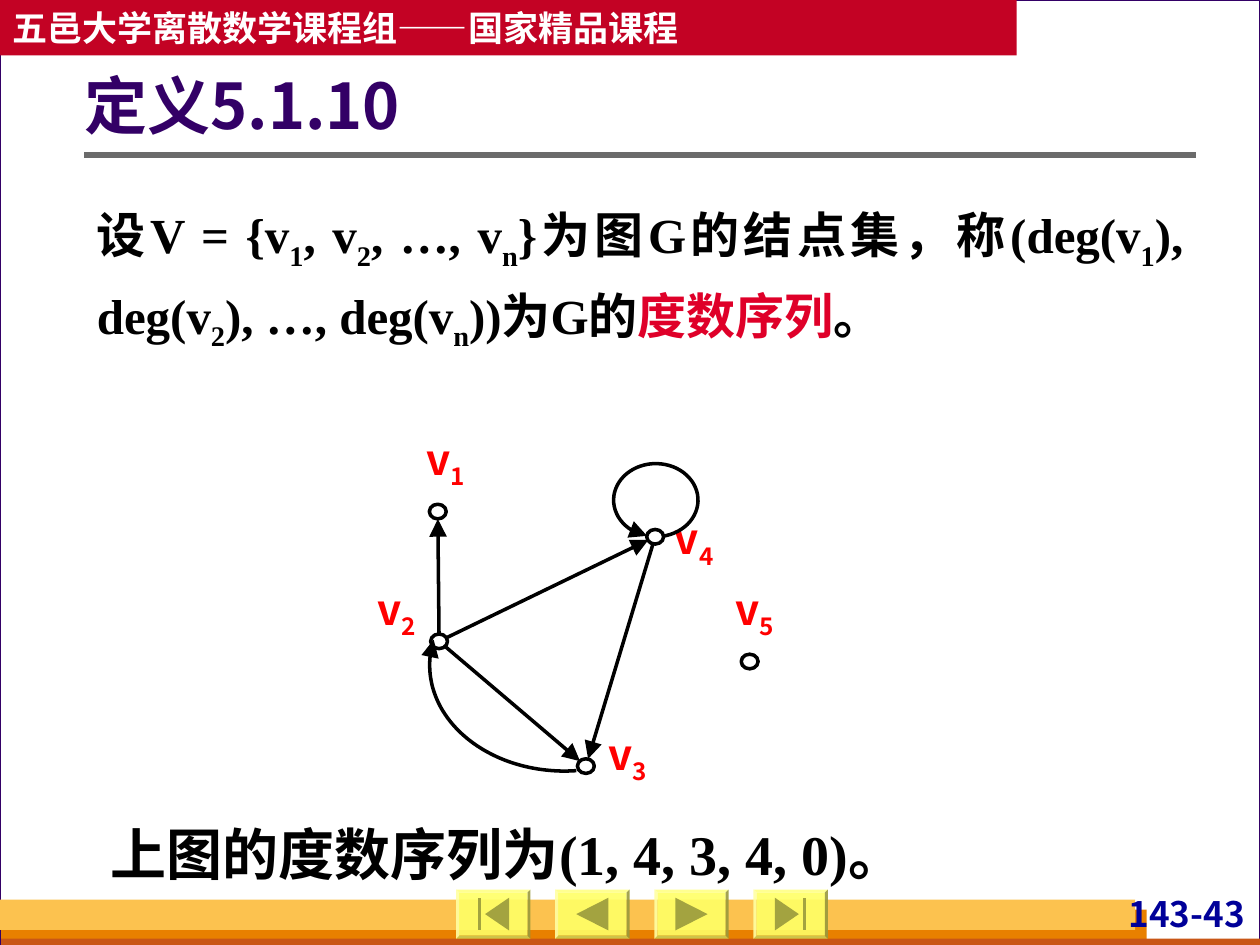
from dataclasses import dataclass
from math import cos, hypot, radians, sin

from lxml import etree
from pptx import Presentation
from pptx.dml.color import RGBColor
from pptx.enum.shapes import MSO_CONNECTOR, MSO_SHAPE
from pptx.enum.text import MSO_ANCHOR, MSO_AUTO_SIZE, PP_ALIGN
from pptx.oxml.ns import qn
from pptx.util import Inches, Pt

RECT, OVAL, BEVEL = MSO_SHAPE.RECTANGLE, MSO_SHAPE.OVAL, MSO_SHAPE.BEVEL
STRAIGHT = MSO_CONNECTOR.STRAIGHT
TOP, MIDDLE = MSO_ANCHOR.TOP, MSO_ANCHOR.MIDDLE
LEFT, CENTER, RIGHT, JUSTIFY = PP_ALIGN.LEFT, PP_ALIGN.CENTER, PP_ALIGN.RIGHT, PP_ALIGN.JUSTIFY
NO_FIT = MSO_AUTO_SIZE.NONE
COLS, ROWS = 100, 75
UNIT = Inches(10) // COLS


@dataclass(frozen=True)
class Theme:
    sans: str = "Noto Sans CJK SC"
    serif: str = "Times New Roman"
    back: str = "D8DADA"
    white: str = "FFFFFF"
    ink: str = "000000"
    violet: str = "330066"
    band: str = "C30224"
    orange: str = "E88000"
    rust: str = "C95616"
    gold: str = "FCC24F"
    rule: str = "6B6B6B"
    navy: str = "000099"
    term: str = "DF0029"
    label: str = "FF0000"
    button: str = "FFFF66"
    icon: str = "A3A340"
    small: int = 20
    tag: int = 24
    body: int = 28
    answer: int = 32
    title: int = 36


T = Theme()


@dataclass(frozen=True)
class Box:
    col: float
    row: float
    wide: float
    high: float

    def sub(self, col, row, wide, high):
        return Box(self.col + col, self.row + row, wide, high)

    def spot(self, col, row):
        return int((self.col + col) * UNIT), int((self.row + row) * UNIT)

    def emu(self):
        return [int(n * UNIT) for n in (self.col, self.row, self.wide, self.high)]


def paint(shape, fill=None, line=None, width=1):
    shape.shadow.inherit = False
    if fill:
        shape.fill.solid()
        shape.fill.fore_color.rgb = RGBColor.from_string(fill)
    else:
        shape.fill.background()
    if line:
        stroke(shape, line, width)
    else:
        shape.line.fill.background()
    return shape


def stroke(shape, color, width):
    shape.line.color.rgb = RGBColor.from_string(color)
    shape.line.width = Pt(width)


def block(slide, kind, box, fill, line=None, width=1):
    return paint(slide.shapes.add_shape(kind, *box.emu()), fill, line, width)


def write(shape, runs, size, color, font, align=LEFT, anchor=TOP, pad=(1, 0.5, 1, 0.5), lead=1.0):
    frame = shape.text_frame
    frame.word_wrap = True
    frame.auto_size = NO_FIT
    frame.vertical_anchor = anchor
    frame.margin_left, frame.margin_top, frame.margin_right, frame.margin_bottom = [
        int(n * UNIT) for n in pad]
    para = frame.paragraphs[0]
    para.alignment, para.line_spacing = align, lead
    for text, *look in runs:
        run = para.add_run()
        run.text = text
        run.font.size, run.font.bold, run.font.name = Pt(size), True, font
        tint = look[0] if look and look[0] != "sub" else color
        run.font.color.rgb = RGBColor.from_string(tint)
        props = run.font._element
        etree.SubElement(props, qn("a:ea")).set("typeface", T.sans)
        if "sub" in look:
            props.set("baseline", "-25000")


def note(slide, box, runs, size, color, font, **look):
    write(slide.shapes.add_textbox(*box.emu()), runs, size, color, font, **look)


def link(slide, start, end, color, width):
    line = slide.shapes.add_connector(STRAIGHT, *start, *end)
    stroke(line, color, width)
    etree.SubElement(line._element.spPr, qn("a:effectLst"))
    return line


def point(shape):
    line = shape._element.spPr.find(qn("a:ln"))
    head = etree.SubElement(line, qn("a:tailEnd"))
    for name, value in (("type", "triangle"), ("w", "lg"), ("len", "lg")):
        head.set(name, value)


def outline(slide, spots, close):
    maker = slide.shapes.build_freeform(*spots[0])
    maker.add_line_segments(spots[1:], close=close)
    return maker.convert_to_shape()


def header(slide, box):
    bar = block(slide, RECT, box, T.band)
    write(bar, [("五邑大学离散数学课程组——国家精品课程",)], T.small, T.white, T.sans, anchor=MIDDLE)


def footer(slide, box):
    for col, row, wide, high, color in (
            (0.1, 0.8, 90.9, 2.8, T.orange), (0.1, 3.1, 99.9, 0.8, T.rust), (0, 0, 90.1, 2.4, T.gold)):
        block(slide, RECT, box.sub(col, row, wide, high), color)
    note(slide, box.sub(87, -0.6, 12.2, 3.3), [("143-43",)], T.small, T.navy, T.sans,
         align=RIGHT, pad=(0.4, 0, 0.4, 0))


def button(slide, box, flip, stop):
    key = block(slide, BEVEL, box, T.button)
    key.adjustments[0] = 0.06
    fill = key._element.spPr.find(qn("a:solidFill"))
    etree.SubElement(fill[0], qn("a:alpha")).set("val", "90000")
    tip, base = (2.3, 4.2) if stop else (1.67, 4.23)
    signs = [[(tip, 1.95), (base, 0.65), (base, 3.25)]]
    if stop:
        signs.append([(1.7, 0.65), (2, 0.65), (2, 3.25), (1.7, 3.25)])
    for sign in signs:
        spots = [box.spot(box.wide - x if flip else x, y) for x, y in sign]
        paint(outline(slide, spots, True), T.icon)


def buttons(slide, box):
    wide = 5.9
    step = (box.wide - wide) / 3
    for n, (flip, stop) in enumerate(((False, True), (False, False), (True, False), (True, True))):
        button(slide, box.sub(n * step, 0, wide, box.high), flip, stop)


def heading(slide, box):
    title = slide.shapes.title
    title.left, title.top, title.width, title.height = box.emu()
    write(title, [("定义5.1.10",)], T.title, T.violet, T.sans,
          anchor=MIDDLE, pad=(0, 0.5, 1, 0.5), lead=0.9)
    slide.shapes._spTree.append(title._element)


def define(slide, box):
    runs = [("设V = {v",), ("1", "sub"), (", v",), ("2", "sub"), (", …, v",), ("n", "sub"),
            ("}为图G的结点集，称(deg(v",), ("1", "sub"), ("), deg(v",), ("2", "sub"),
            ("), …, deg(v",), ("n", "sub"), ("))为G的",), ("度数序列", T.term), ("。",)]
    note(slide, box, runs, T.body, T.ink, T.serif, align=JUSTIFY, lead=1.2)


def edge(slide, box, start, end):
    gap = 0.6
    dx, dy = end[0] - start[0], end[1] - start[1]
    far = hypot(dx, dy)
    dx, dy = dx / far * gap, dy / far * gap
    point(link(slide, box.spot(start[0] + dx, start[1] + dy),
               box.spot(end[0] - dx, end[1] - dy), T.ink, 2))


def arc(slide, box, mid, radii, start, end):
    count = 60
    turns = [radians(start + (end - start) * n / count) for n in range(count + 1)]
    spots = [box.spot(mid[0] + radii[0] * cos(t), mid[1] + radii[1] * sin(t)) for t in turns]
    point(paint(outline(slide, spots, False), None, T.ink, 2))


def graph(slide, box):
    nodes = {"1": (6.75, 6.6), "2": (6.85, 16.9), "3": (18.5, 26.8),
             "4": (24, 8.6), "5": (31.5, 18.5)}
    tags = {"1": (4.7, 0.4), "2": (0.8, 12.3), "3": (19.1, 23.8),
            "4": (24.4, 6.7), "5": (29.2, 12.3)}
    for x, y in nodes.values():
        block(slide, OVAL, box.sub(x - 0.67, y - 0.58, 1.34, 1.16), T.white, T.ink, 2)
    for start, end in ("23", "24", "43", "21"):
        edge(slide, box, nodes[start], nodes[end])
    arc(slide, box, (16.8, 18.8), (10.7, 8.4), 85, 194)
    for name, (x, y) in tags.items():
        note(slide, box.sub(x, y, 5.4, 5.7), [("v",), (name, "sub")], T.tag, T.label, T.sans,
             align=CENTER, pad=(0, 0, 0, 0))
    arc(slide, box, (24.05, 5.7), (3.35, 2.9), 81, -258)


def answer(slide, box):
    note(slide, box, [("上图的度数序列为(1, 4, 3, 4, 0)",), ("。",)], T.answer, T.ink, T.serif, lead=1.2)


def main():
    deck = Presentation()
    deck.slide_width, deck.slide_height = COLS * UNIT, ROWS * UNIT
    slide = deck.slides.add_slide(deck.slide_layouts[5])
    slide.background.fill.solid()
    slide.background.fill.fore_color.rgb = RGBColor.from_string(T.back)
    page = Box(0, 0, COLS, ROWS)
    block(slide, RECT, page, T.white, T.violet, 0.75)
    header(slide, page.sub(0, 0, 80.7, 4.4))
    footer(slide, page.sub(0, 71.4, COLS, 3.6))
    link(slide, page.spot(6.7, 12.3), page.spot(94.9, 12.3), T.rule, 3)
    buttons(slide, page.sub(36.2, 70.6, 29.5, 3.9))
    heading(slide, page.sub(6.7, 3.6, 88.2, 10.1))
    define(slide, page.sub(6.7, 14.7, 88.2, 13.8))
    graph(slide, page.sub(28, 34, 35, 30))
    answer(slide, page.sub(7.8, 63.5, 72, 7.4))
    deck.save("out.pptx")


if __name__ == "__main__":
    main()
